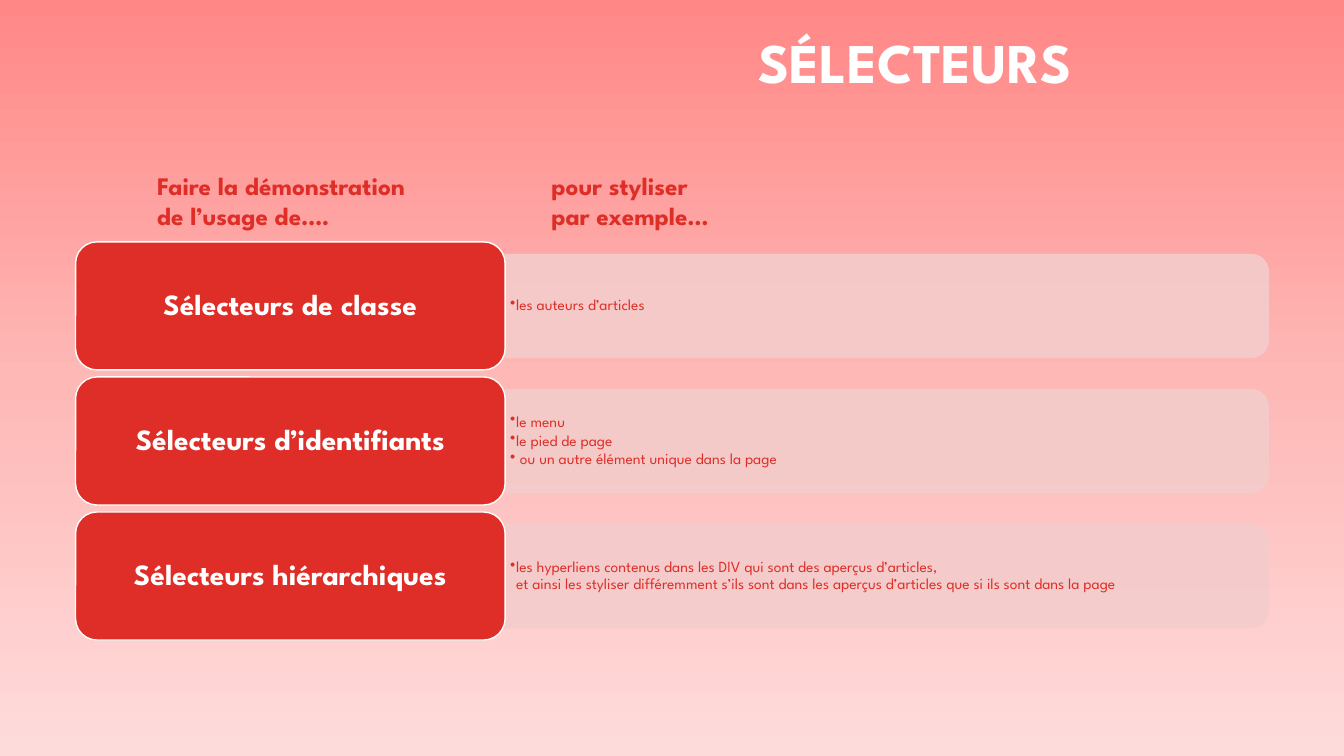
from copy import deepcopy
from dataclasses import dataclass

from lxml import etree
from pptx import Presentation
from pptx import util as u
from pptx.dml.color import RGBColor
from pptx.enum import shapes, text
from pptx.oxml.ns import qn


@dataclass(frozen=True)
class Theme:
    font: str = "League Spartan"
    white: str = "FFFFFF"
    red: str = "DF2E28"
    button: str = "DF2D27"
    bar: str = "F3CCCB"
    bar_opacity: int = 90
    background: tuple = ((0, "FF8887"), (0.5, "FEB8B6"), (1, "FEDBDB"))
    title_size: float = 40
    button_size: float = 21
    heading_size: float = 18
    bullet_size: float = 11


def set_attributes(target, values):
    for name, value in values.items():
        setattr(target, name, value)


class SlideBuilder:
    def __init__(self, slide, theme):
        self.slide = slide
        self.theme = theme

    def background(self):
        fill = self.slide.background.fill
        fill.gradient()
        fill.gradient_angle = 270
        stop_list = self.slide.element.find(".//" + qn("a:gsLst"))
        stop_list.append(deepcopy(stop_list[-1]))
        for stop, (position, color) in zip(fill.gradient_stops, self.theme.background):
            stop.position = position
            stop.color.rgb = RGBColor.from_string(color)

    def fill_text(self, shape, lines, size, color, bold=False, align=text.PP_ALIGN.LEFT,
                  anchor=text.MSO_ANCHOR.MIDDLE, insets=(0.1, 0.05), spacing=0.9, bullet=False):
        frame = shape.text_frame
        horizontal, vertical = map(u.Inches, insets)
        set_attributes(frame, {
            "word_wrap": True, "vertical_anchor": anchor,
            "margin_left": horizontal, "margin_right": horizontal,
            "margin_top": vertical, "margin_bottom": vertical,
        })
        for index, line in enumerate(lines):
            paragraph = frame.add_paragraph() if index else frame.paragraphs[0]
            paragraph.text = line
            set_attributes(paragraph, {"alignment": align, "line_spacing": spacing})
            for run in paragraph.runs:
                set_attributes(run.font, {"name": self.theme.font, "size": u.Pt(size), "bold": bold})
                run.font.color.rgb = RGBColor.from_string(color)
            # Line breaks take the size of the text around them
            for line_break in paragraph._p.findall(qn("a:br")):
                line_break.append(deepcopy(paragraph.runs[0]._r.rPr))
            if bullet:
                self.add_bullet(paragraph, color, u.Pt(1.6) if index else u.Pt(0))

    def add_bullet(self, paragraph, color, space_before):
        set_attributes(paragraph, {"level": 1, "space_before": space_before})
        properties = paragraph._p.get_or_add_pPr()
        indent = u.Inches(0.06)
        properties.set("marL", str(indent))
        properties.set("indent", str(-indent))
        bullet_color = etree.SubElement(properties, qn("a:buClr"))
        etree.SubElement(bullet_color, qn("a:srgbClr"), val=color)
        etree.SubElement(properties, qn("a:buChar"), char="•")

    def text_box(self, box, lines, size, color, **layout):
        shape = self.slide.shapes.add_textbox(*map(u.Inches, box))
        self.fill_text(shape, lines, size, color, **layout)

    def rounded(self, kind, box, adjustments, fill, line, opacity=100):
        shape = self.slide.shapes.add_shape(kind, *map(u.Inches, box))
        shape.shadow.inherit = False
        for index, value in enumerate(adjustments):
            shape.adjustments[index] = value
        shape.fill.solid()
        shape.fill.fore_color.rgb = RGBColor.from_string(fill)
        shape.line.color.rgb = RGBColor.from_string(line)
        shape.line.width = u.Pt(1)
        if opacity < 100:
            for color in shape._element.spPr.iter(qn("a:srgbClr")):
                etree.SubElement(color, qn("a:alpha"), val=str(opacity * 1000))
        return shape

    def bar(self, left, middle, width, height):
        # The bar is a tall shape turned a quarter, so its rounded end faces right
        box = (left + (width - height) / 2, middle - width / 2, height, width)
        shape = self.rounded(shapes.MSO_SHAPE.ROUND_2_SAME_RECTANGLE, box, (0.167, 0),
                             self.theme.bar, self.theme.bar, self.theme.bar_opacity)
        shape.rotation = 90

    def button(self, box, label):
        shape = self.rounded(shapes.MSO_SHAPE.ROUNDED_RECTANGLE, box, (0.167,),
                             self.theme.button, self.theme.white)
        self.fill_text(shape, [label], self.theme.button_size, self.theme.white, bold=True,
                       align=text.PP_ALIGN.CENTER, insets=(0.13, 0.1))

    def selector_row(self, top, label, examples):
        left, width, height = 0.75, 4.26, 1.27
        middle, bar_left = top + height / 2, left + width
        self.bar(bar_left, middle, 7.57, 1.02)
        self.text_box((bar_left, middle - 0.46, 7.54, 0.92), examples, self.theme.bullet_size,
                      self.theme.red, insets=(0.05, 0.02), bullet=True)
        self.button((left, top, width, height), label)


HEADINGS = (
    (1.46, 3, ("Faire la démonstration", "de l’usage de….")),
    (5.37, 2.02, ("pour styliser", "par exemple…")),
)
SELECTORS = (
    ("Sélecteurs de classe", ("les auteurs d’articles",)),
    ("Sélecteurs d’identifiants",
     ("le menu", "le pied de page", " ou un autre élément unique dans la page")),
    ("Sélecteurs hiérarchiques",
     ("les hyperliens contenus dans les DIV qui sont des aperçus d’articles, \v"
      "et ainsi les styliser différemment s’ils sont dans les aperçus d’articles "
      "que si ils sont dans la page",)),
)


def main():
    presentation = Presentation()
    set_attributes(presentation, {"slide_width": u.Inches(13.33), "slide_height": u.Inches(7.5)})
    theme = Theme()
    builder = SlideBuilder(presentation.slides.add_slide(presentation.slide_layouts[6]), theme)

    # Background and title
    builder.background()
    builder.text_box((5.07, 0.25, 8.01, 0.79), ["SÉLECTEURS"], theme.title_size, theme.white,
                     bold=True, align=text.PP_ALIGN.CENTER)

    # One row per kind of selector
    for index, (label, examples) in enumerate(SELECTORS):
        builder.selector_row(2.4 + 1.34 * index, label, examples)

    # Column headings
    for left, width, lines in HEADINGS:
        builder.text_box((left, 1.64, width, 0.71), lines, theme.heading_size, theme.red,
                         bold=True, anchor=text.MSO_ANCHOR.TOP, spacing=1.0)

    presentation.save("out.pptx")


if __name__ == "__main__":
    main()
